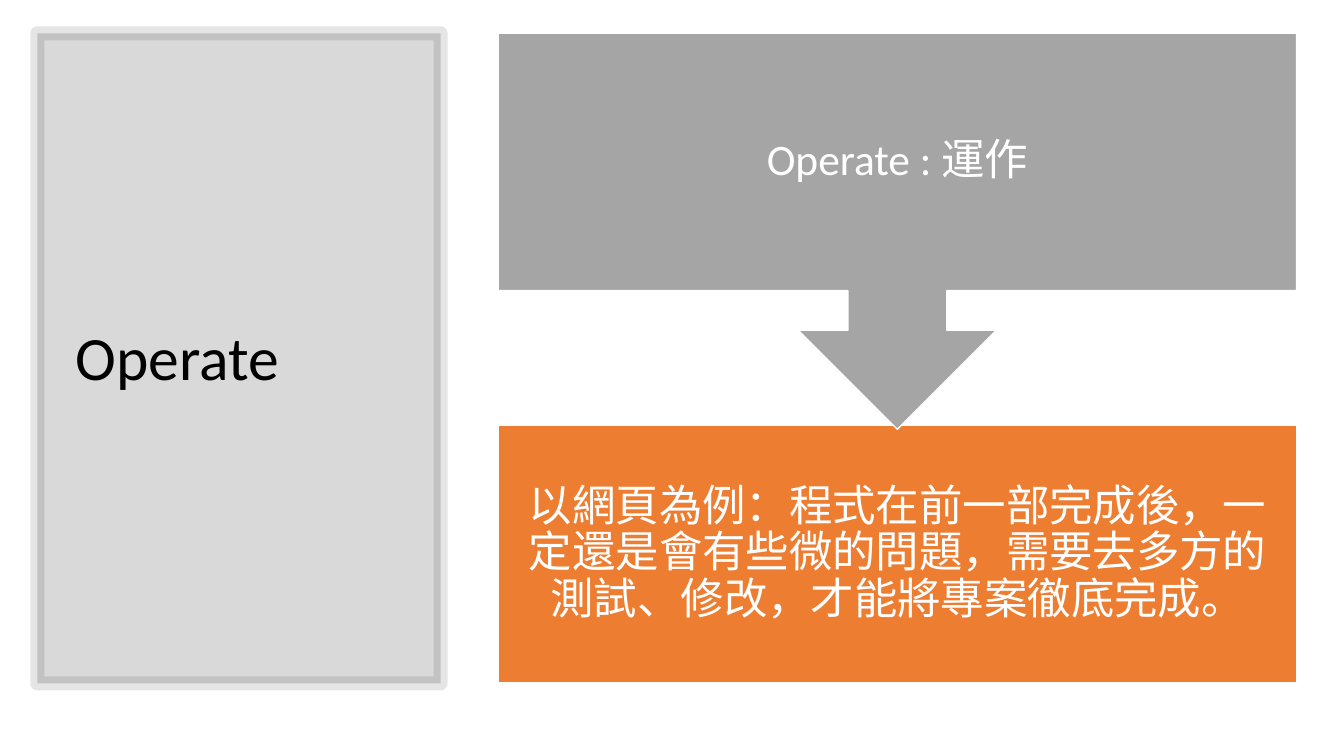
"""Build the Operate slide: a title panel beside a callout that points to its example."""
from lxml import etree
from pptx import Presentation
from pptx import util as u
from pptx.dml.color import RGBColor
from pptx.enum import shapes, text
from pptx.oxml.ns import qn


def paint(fmt, color, alpha=None):
    fmt.solid()
    fmt.fore_color.rgb = RGBColor.from_string(color)
    if alpha is not None:
        clr = fmt.fore_color._xFill.find(qn("a:srgbClr"))
        etree.SubElement(clr, qn("a:alpha"), val=str(alpha * 1000))


def write(sp, words, size, color, align, inset_x, inset_y):
    tf = sp.text_frame
    tf.word_wrap = True
    tf.auto_size = text.MSO_AUTO_SIZE.NONE
    tf.vertical_anchor = text.MSO_ANCHOR.MIDDLE
    tf.margin_left = tf.margin_right = u.Inches(inset_x)
    tf.margin_top = tf.margin_bottom = u.Inches(inset_y)
    p = tf.paragraphs[0]
    p.alignment = align
    p.line_spacing = 0.9
    r = p.add_run()
    r.text = words
    r.font.size = u.Pt(size)
    r.font.name = "Calibri"
    paint(r.font.fill, color)


prs = Presentation()
prs.slide_width, prs.slide_height = u.Inches(13.33), u.Inches(7.5)
s = prs.slides.add_slide(prs.slide_layouts[5])

kinds = shapes.MSO_SHAPE
boxes = [
    (kinds.RECTANGLE, (0.37, 0.33, 4, 6.45), ("000000", 15), ("000000", 10), 10, None),
    (kinds.RECTANGLE, (4.94, 4.22, 7.92, 2.55), ("ED7D31",), ("FFFFFF",), 1,
     "以網頁為例：程式在前一部完成後，一定還是會有些微的問題，需要去多方的測試、修改，才能將專案徹底完成。"),
    (kinds.DOWN_ARROW_CALLOUT, (4.94, 0.33, 7.92, 3.93), ("A5A5A5",), ("FFFFFF",), 1,
     "Operate : 運作"),
]
for kind, place, fill, line, width, words in boxes:
    sp = s.shapes.add_shape(kind, *map(u.Inches, place))
    sp.shadow.inherit = False
    paint(sp.fill, *fill)
    paint(sp.line.fill, *line)
    sp.line.width = u.Pt(width)
    if words:
        write(sp, words, 31, "FFFFFF", text.PP_ALIGN.CENTER, 0.24, 0.24)

title = s.shapes.title
title.left, title.top, title.width, title.height = map(u.Inches, (0.65, 0.7, 3.46, 5.75))
write(title, "Operate", 44, "000000", text.PP_ALIGN.LEFT, 0.1, 0.05)
panel = s.shapes[1]
panel.element.addnext(title.element)

prs.save("out.pptx")
